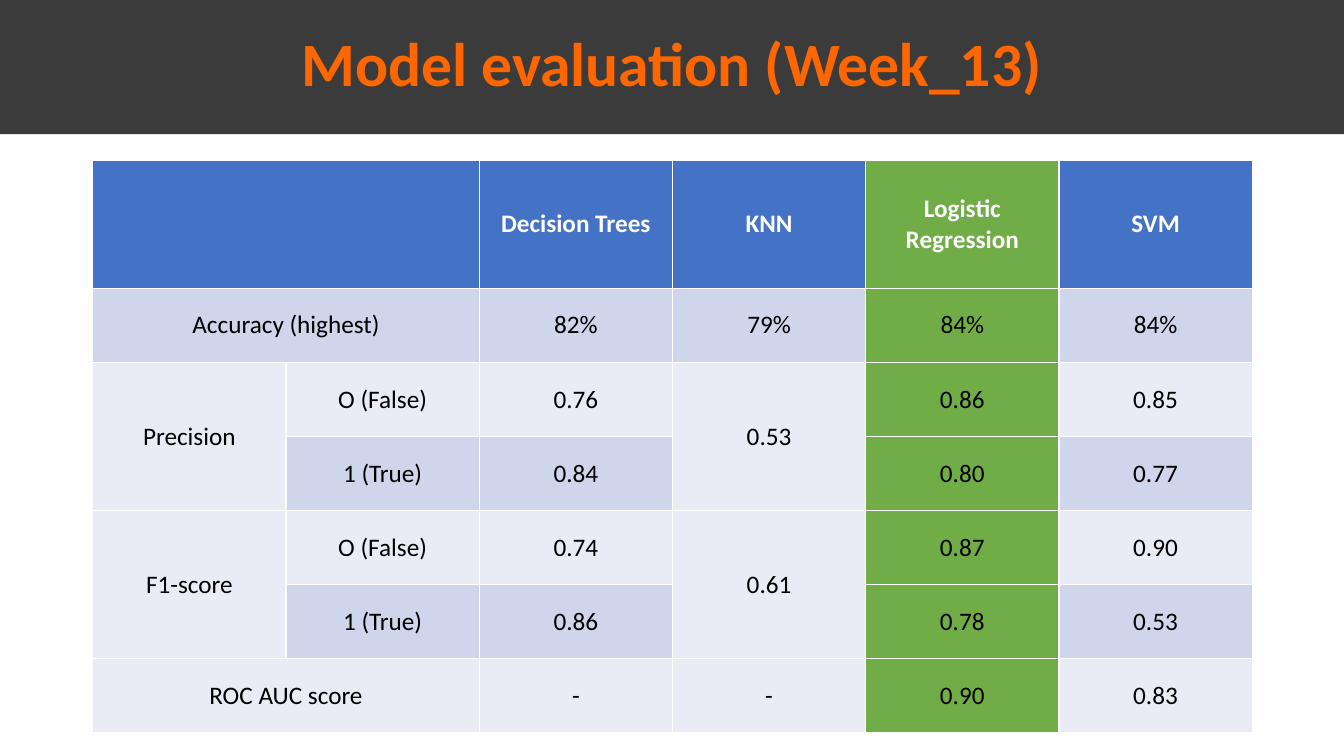
from pptx import Presentation
from pptx.dml.color import RGBColor as RGB
from pptx.enum.text import MSO_ANCHOR as Anchor, PP_ALIGN as Align
from pptx.util import Inches, Pt

TITLE = "Model evaluation (Week_13)"
ROWS = [
    ["", "", "Decision Trees", "KNN", "Logistic Regression", "SVM"],
    ["Accuracy (highest)", "", "82%", "79%", "84%", "84%"],
    ["Precision", "O (False)", "0.76", "0.53", "0.86", "0.85"],
    ["", "1 (True)", "0.84", "", "0.80", "0.77"],
    ["F1-score", "O (False)", "0.74", "0.61", "0.87", "0.90"],
    ["", "1 (True)", "0.86", "", "0.78", "0.53"],
    ["ROC AUC score", "", "-", "-", "0.90", "0.83"],
]
WIDE = [0, 1, 6]
TALL = [(2, 0), (2, 3), (4, 0), (4, 3)]
BEST = 4

DARK = RGB(0x3B, 0x3B, 0x3B)
ORANGE = RGB(0xFF, 0x66, 0x00)
BLUE = RGB(0x44, 0x72, 0xC4)
GREEN = RGB(0x70, 0xAD, 0x47)
BANDS = [RGB(0xE9, 0xEB, 0xF5), RGB(0xCF, 0xD5, 0xEA)]
WHITE = RGB(0xFF, 0xFF, 0xFF)
BLACK = RGB(0, 0, 0)


def write(frame, text, size=18, color=BLACK, bold=False, space=1.0):
    """Put centred, formatted text into a text frame."""
    para = frame.paragraphs[0]
    para.alignment = Align.CENTER
    para.line_spacing = space
    run = para.add_run()
    run.text = text
    font = run.font
    font.name, font.size, font.bold = "Calibri", Pt(size), bold
    font.color.rgb = color


def build():
    """Build the slide and save it."""
    deck = Presentation()
    deck.slide_width, deck.slide_height = Inches(13.33), Inches(7.5)
    slide = deck.slides.add_slide(deck.slide_layouts[5])

    title = slide.shapes.title
    title.left, title.top = Inches(0), Inches(0)
    title.width, title.height = deck.slide_width, Inches(1.33)
    title.fill.solid()
    title.fill.fore_color.rgb = DARK
    title.text_frame.vertical_anchor = Anchor.MIDDLE
    write(title.text_frame, TITLE, size=44, color=ORANGE, bold=True, space=0.9)

    frame = slide.shapes.add_table(
        len(ROWS), len(ROWS[0]),
        Inches(0.92), Inches(1.59), Inches(11.5), Inches(5.68))
    table = frame.table
    for r, row in enumerate(ROWS):
        head = r == 0
        table.rows[r].height = Inches(1.27 if head else 0.735)
        for c, text in enumerate(row):
            cell = table.cell(r, c)
            cell.vertical_anchor = Anchor.MIDDLE
            cell.fill.solid()
            base = BLUE if head else BANDS[r % 2]
            cell.fill.fore_color.rgb = GREEN if c == BEST else base
            if text:
                write(cell.text_frame, text,
                      color=WHITE if head else BLACK, bold=head)
    for r in WIDE:
        table.cell(r, 0).merge(table.cell(r, 1))
    for r, c in TALL:
        table.cell(r, c).merge(table.cell(r + 1, c))

    deck.save("out.pptx")


if __name__ == "__main__":
    build()
